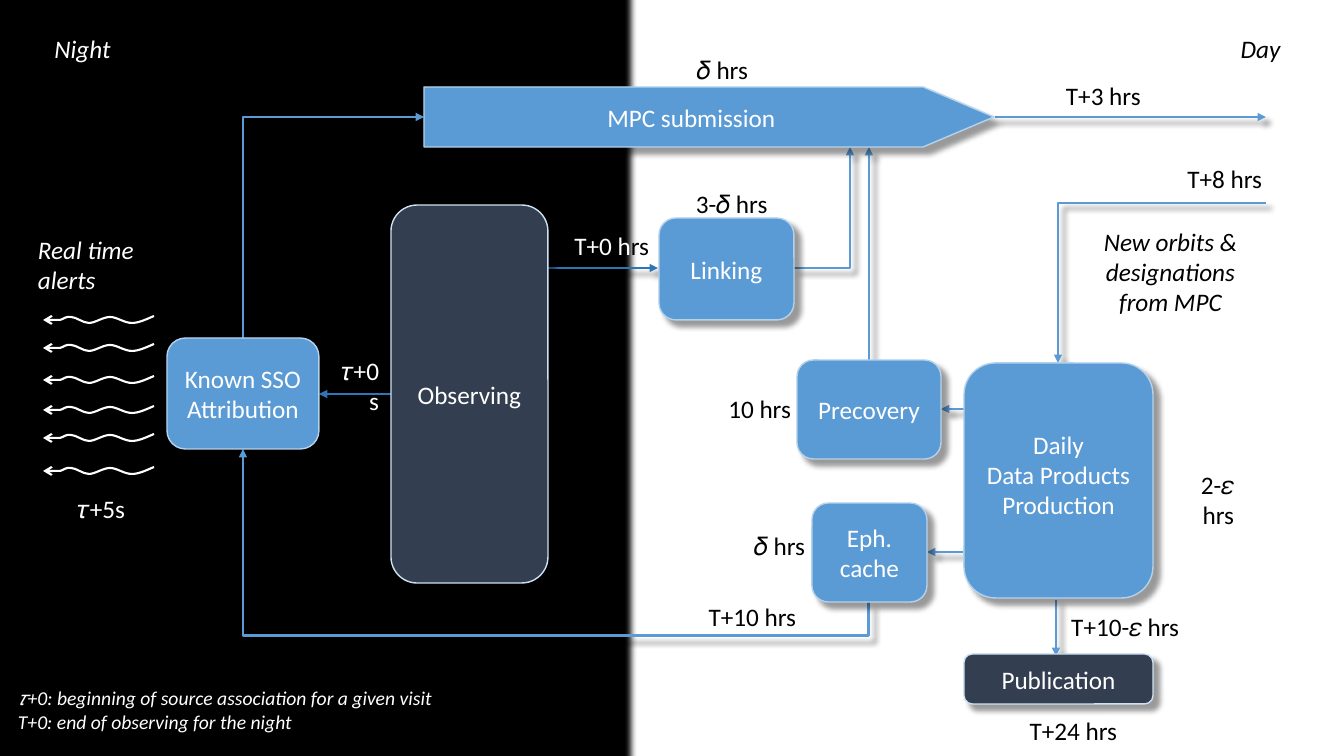
import pptx
import pptx.util
import pptx.dml.color
import pptx.enum.shapes
import pptx.enum.text
import pptx.oxml

SCALE = 914400 / 100.8
COLORS = {"black": "000000", "white": "FFFFFF", "blue": "5B9BD5", "deep": "2E75B6",
          "slate": "333F50", "blue_edge": "B5D2EC", "slate_edge": "CEE1F2"}
FONT = {"name": "Calibri", "size": pptx.util.Pt(18)}
NS = 'xmlns:a="http://schemas.openxmlformats.org/drawingml/2006/main"'
SHADOW = ('<a:outerShdw blurRad="50800" dist="76200" dir="2700000" algn="tl" rotWithShape="0">'
          '<a:srgbClr val="000000"><a:alpha val="40000"/></a:srgbClr></a:outerShdw>')
SOFT_EDGE = '<a:softEdge rad="63500"/>'
SHAPE = pptx.enum.shapes.MSO_SHAPE
ALIGN = {"l": pptx.enum.text.PP_ALIGN.LEFT, "c": pptx.enum.text.PP_ALIGN.CENTER,
         "r": pptx.enum.text.PP_ALIGN.RIGHT}

NIGHT = (-22, -14, 658, 784)

CAPTIONS = [
    ("Night", (11, 28, 143, 40), "black", "c", 18),
    ("Day", (1189, 28, 143, 40), "white", "c", 18),
    ("Real time alerts", (28, 229, 171, 72), "black", "l", 18),
    ("𝜏+0: beginning of source association for a given visit\nT+0: end of observing for the night",
     (8, 681, 560, 57), "black", "l", 14),
    ("New orbits & designations\nfrom MPC", (1087, 221, 167, 102), "white", "c", 18),
]

ARROWS = [
    ((977, 409), (941, 409), "blue"),
    ((995, 117), (1266, 117), "blue"),
    ((529, 268), (658, 268), "deep"),
    ((964, 552), (927, 552), "blue"),
    ((391, 394), (319, 394), "deep"),
    ((869, 360), (869, 147), "blue"),
    ((1056, 600), (1056, 656), "blue"),
]

ELBOWS = [
    ((869, 602), (243, 449), "bentConnector3", 90, "H", -22000, True),
    ((243, 338), (424, 117), "bentConnector2", 90, "HV", None, False),
    ((794, 268), (850, 147), "bentConnector2", 0, "V", None, True),
    ((1266, 203), (1058, 363), "bentConnector2", 180, "V", None, True),
]

ALERT_X = 43
ALERT_TOPS = [316, 344, 376, 406, 434, 467]
ALERT_WAVE = [(111, 0), (104, 3), (96, 7), (89, 7), (81, 7), (74, 1), (67, 1),
              (60, 1), (52, 7), (46, 7), (40, 7), (33, 1), (28, 1),
              (23, 0), (21, 3), (17, 4), (12, 4), (2, 4), (0, 4)]

BOXES = [
    ("Observing", (391, 205, 157, 378), "slate", True),
    ("Known SSO Attribution", (167, 338, 152, 111), "blue", False),
    ("MPC submission", (424, 87, 570, 60), "blue", True),
    ("Linking", (659, 218, 135, 102), "blue", True),
    ("Eph. cache", (812, 503, 115, 99), "blue", True),
    ("Daily\nData Products Production", (964, 363, 189, 235), "blue", True),
    ("Precovery", (797, 360, 144, 99), "blue", True),
    ("Publication", (964, 654, 189, 50), "slate", True),
]

LABELS = [
    ([("T+3 hrs", "black")], (1056, 75, 96), "l"),
    ([("T+8 hrs", "black")], (1176, 158, 96), "r"),
    ([("3-𝛿 hrs", "black")], (686, 183, 92), "l"),
    ([("T+10 hrs", "black")], (697, 596, 109), "r"),
    ([("T+10-𝜀 hrs", "black")], (1061, 606, 128), "r"),
    ([("10 hrs", "black")], (718, 388, 83), "r"),
    ([("T+24 hrs", "black")], (1018, 710, 109), "r"),
    ([("2-𝜀 hrs", "black")], (1154, 464, 90), "r"),
    ([("𝜏+0s", "white")], (322, 350, 67), "r"),
    ([("𝜏+5s", "white")], (67, 488, 68), "r"),
    ([("𝛿 hrs", "black")], (687, 49, 71), "l"),
    ([("T+0 h", "white"), ("rs", "black")], (564, 225, 95), "r"),
    ([("𝛿 hrs", "black")], (744, 525, 71), "r"),
]


def px(*values):
    return [round(v * SCALE) for v in values]


def rgb(name):
    return pptx.dml.color.RGBColor.from_string(COLORS[name])


def paint(shape, fill, edge):
    shape.fill.solid()
    shape.fill.fore_color.rgb = rgb(fill)
    stroke(shape, edge, 1)


def stroke(shape, color, width, head=None):
    shape.line.color.rgb = rgb(color)
    shape.line.width = pptx.util.Pt(width)
    if head:
        shape.line._get_or_add_ln().append(
            pptx.oxml.parse_xml(f'<a:tailEnd {NS} type="{head}"/>'))


def effect(shape, xml=""):
    shape._element.spPr.append(pptx.oxml.parse_xml(f"<a:effectLst {NS}>{xml}</a:effectLst>"))


def write(tf, paragraphs, align, wrap=True, anchor="TOP", **extra):
    tf.word_wrap = wrap
    tf.vertical_anchor = pptx.enum.text.MSO_ANCHOR[anchor]
    for i, runs in enumerate(paragraphs):
        p = tf.add_paragraph() if i else tf.paragraphs[0]
        p.alignment = ALIGN[align]
        for text, color in runs:
            r = p.add_run()
            r.text = text
            r.font.color.rgb = rgb(color)
            for key, value in {**FONT, **extra}.items():
                setattr(r.font, key, value)


def lines(text, color):
    return [[(line, color)] for line in text.split("\n")]


def connect(kind, start, end):
    c = s.shapes.add_connector(pptx.enum.shapes.MSO_CONNECTOR[kind], *px(*start, *end))
    return c


prs = pptx.Presentation()
prs.slide_width, prs.slide_height = px(1344, 756)
s = prs.slides.add_slide(prs.slide_layouts[6])

night = s.shapes.add_shape(SHAPE.ROUNDED_RECTANGLE, *px(*NIGHT))
night.adjustments[0] = 0.01
paint(night, "black", "black")
effect(night, SOFT_EDGE)

for text, place, fill, align, size in CAPTIONS:
    sp = s.shapes.add_shape(SHAPE.RECTANGLE, *px(*place))
    sp.shadow.inherit = False
    paint(sp, fill, fill)
    if fill == "white":
        sp.line.fill.background()
    ink = "white" if fill == "black" else "black"
    write(sp.text_frame, lines(text, ink), align, italic=True, size=pptx.util.Pt(size))

for start, end, preset, turn, flips, bend, shaded in ELBOWS:
    c = connect("ELBOW", start, end)
    (x0, y0), (x1, y1) = start, end
    w, h = abs(x1 - x0), abs(y1 - y0)
    if turn == 90:
        w, h = h, w
    c.left, c.top, c.width, c.height = px((x0 + x1 - w) / 2, (y0 + y1 - h) / 2, w, h)
    xfrm = c._element.spPr.xfrm
    for key, value in {"rot": turn * 60000, "flipH": int("H" in flips),
                       "flipV": int("V" in flips)}.items():
        xfrm.set(key, str(value))
    geom = c._element.spPr.prstGeom
    geom.set("prst", preset)
    if bend:
        geom.get_or_add_avLst().append(
            pptx.oxml.parse_xml(f'<a:gd {NS} name="adj1" fmla="val {bend}"/>'))
    stroke(c, "blue", 2, "triangle")
    effect(c, SHADOW if shaded else "")

for start, end, color in ARROWS:
    c = connect("STRAIGHT", start, end)
    stroke(c, color, 2, "triangle")
    effect(c, SHADOW)

alerts = s.shapes.add_group_shape()
for top in ALERT_TOPS:
    points = [px(ALERT_X + x, top + y) for x, y in ALERT_WAVE]
    fb = alerts.shapes.build_freeform(*points[0])
    fb.add_line_segments(points[1:], close=False)
    wave = fb.convert_to_shape()
    wave.shadow.inherit = False
    wave.fill.background()
    stroke(wave, "white", 1.5, "arrow")
    segments = wave._element.xpath(".//a:lnTo")
    outline = segments[0].getparent()
    for i in range(0, len(segments), 3):
        curve = pptx.oxml.parse_xml(f"<a:cubicBezTo {NS}/>")
        for segment in segments[i:i + 3]:
            curve.append(segment[0])
            outline.remove(segment)
        outline.append(curve)

for text, place, fill, shaded in BOXES:
    is_mpc = text.startswith("MPC")
    sp = s.shapes.add_shape(SHAPE.PENTAGON if is_mpc else SHAPE.ROUNDED_RECTANGLE, *px(*place))
    if is_mpc:
        sp.adjustments[0] = 1.18
    paint(sp, fill, fill + "_edge")
    effect(sp, SHADOW if shaded else "")
    write(sp.text_frame, lines(text, "white"), "c", anchor="MIDDLE")
    if text.startswith("Daily"):
        sp.text_frame.margin_bottom = px(17)[0]

for runs, (x, y, w), align in LABELS:
    sp = s.shapes.add_textbox(*px(x, y, w, 40))
    write(sp.text_frame, [runs], align, wrap=False)
    sp.text_frame.auto_size = pptx.enum.text.MSO_AUTO_SIZE.SHAPE_TO_FIT_TEXT

prs.save("out.pptx")
